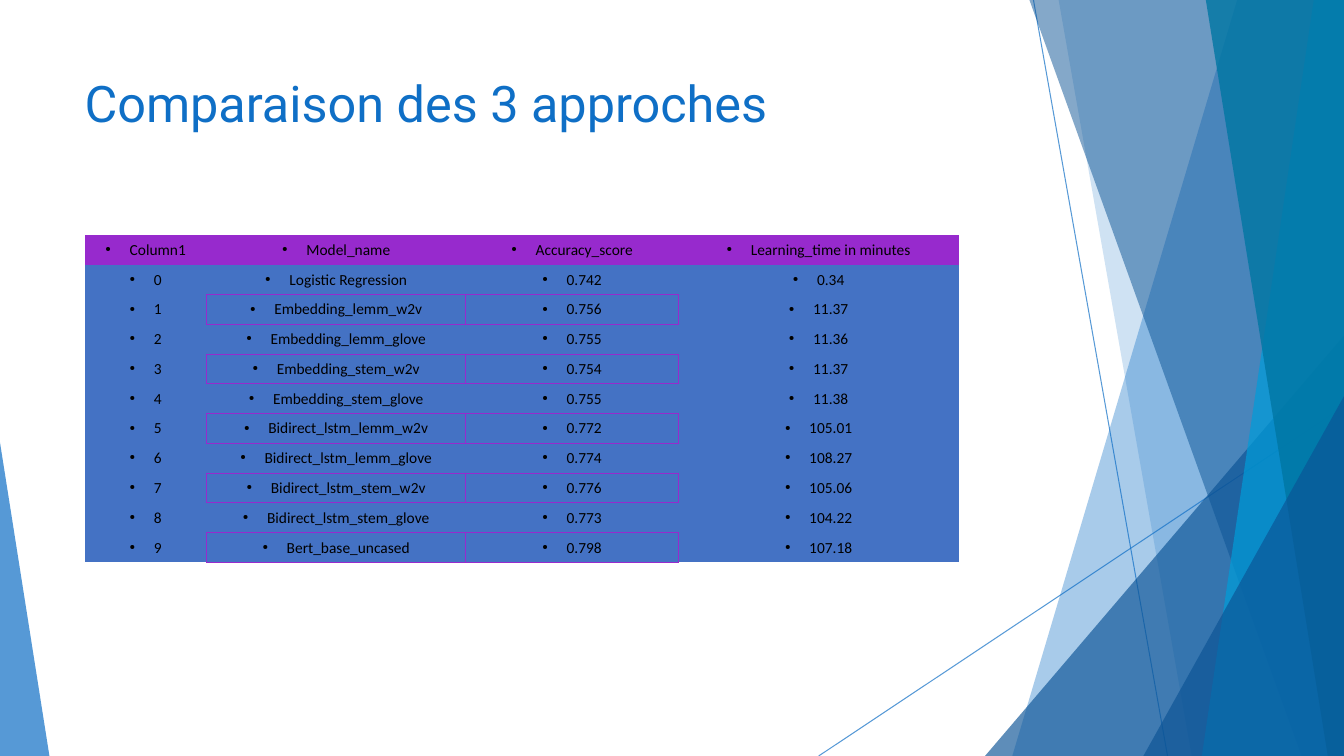
from lxml.etree import SubElement
from pptx import Presentation
from pptx.dml.color import RGBColor
from pptx.enum.shapes import MSO_CONNECTOR
from pptx.enum.text import MSO_ANCHOR, PP_ALIGN
from pptx.oxml import parse_xml
from pptx.oxml.ns import nsdecls, qn
from pptx.util import Inches, Pt

WIDTH, HEIGHT = 13.33, 7.5
BLUE, NAVY, PURPLE, ROW_BLUE, BLACK = "0F6FC6", "0B5395", "972ACD", "4472C4", "000000"

TITLE = "Comparaison des 3 approches"
HEADER = ("Column1", "Model_name", "Accuracy_score", "Learning_time in minutes")
MODELS = [
    ("Logistic Regression", "0.742", "0.34"),
    ("Embedding_lemm_w2v", "0.756", "11.37"),
    ("Embedding_lemm_glove", "0.755", "11.36"),
    ("Embedding_stem_w2v", "0.754", "11.37"),
    ("Embedding_stem_glove", "0.755", "11.38"),
    ("Bidirect_lstm_lemm_w2v", "0.772", "105.01"),
    ("Bidirect_lstm_lemm_glove", "0.774", "108.27"),
    ("Bidirect_lstm_stem_w2v", "0.776", "105.06"),
    ("Bidirect_lstm_stem_glove", "0.773", "104.22"),
    ("Bert_base_uncased", "0.798", "107.18"),
]
COLUMN_WIDTHS = (1.21, 2.57, 2.11, 2.78)
TABLE_LEFT, TABLE_TOP, TABLE_HEIGHT = 0.84, 2.33, 3.25
NO_STYLE = "{2D5ABB26-0587-4C30-8999-92F81FD0307C}"

RAYS = [((10.25, 0), (11.58, HEIGHT)), ((WIDTH, 4.03), (8.12, HEIGHT))]


def band(top_left, bottom_left):
    """Corners of a band that runs from its slanted left side to the slide's right edge."""
    return [(top_left, 0), (WIDTH, 0), (WIDTH, HEIGHT), (bottom_left, HEIGHT)]


def corner(left, top):
    """Corners of a triangle in the slide's bottom right corner."""
    return [(left, HEIGHT), (WIDTH, top), (WIDTH, HEIGHT)]


# corners, colour, opacity in percent
FACETS = [
    (band(12.27, 10.04), BLUE, 36),
    (band(10.5, 11.82), BLUE, 20),
    (corner(9.77, 3.33), NAVY, 66),
    (band(10.21, 12.91), NAVY, 50),
    (band(13.03, 11.92), "009DD9", 70),
    (band(11.96, 13.17), "0076A3", 80),
    (corner(11.34, 3.93), NAVY, 66),
    ([(0, HEIGHT), (0, 4.39), (0.49, HEIGHT)], BLUE, 70),
]


def paint(color_format, color):
    color_format.rgb = RGBColor.from_string(color)


def set_opacity(fill_parent, percent):
    color = next(fill_parent.iter(qn("a:srgbClr")))
    SubElement(color, qn("a:alpha"), val=str(percent * 1000))


def add_ray(slide, start, end):
    ray = slide.shapes.add_connector(
        MSO_CONNECTOR.STRAIGHT, *(Inches(value) for value in start + end))
    paint_line = ray.line
    paint_line.width = Pt(0.75)
    paint_line.fill.solid()
    paint(paint_line.color, BLUE)
    properties = ray._element.spPr
    set_opacity(properties, 70)
    SubElement(properties, qn("a:effectLst"))


def add_facet(slide, corners, color, opacity):
    points = [(Inches(x), Inches(y)) for x, y in corners]
    builder = slide.shapes.build_freeform(*points[0])
    builder.add_line_segments(points[1:], close=True)
    facet = builder.convert_to_shape()
    facet.shadow.inherit = False
    facet.line.fill.background()
    facet.fill.solid()
    paint(facet.fill.fore_color, color)
    set_opacity(facet._element.spPr, opacity)


def write(para, text, font, size, color):
    para.text = text
    for name, value in {"name": font, "size": Pt(size)}.items():
        setattr(para.runs[0].font, name, value)
    paint(para.runs[0].font.color, color)


def add_bullet(para):
    properties = para._p.get_or_add_pPr()
    properties.set("marL", str(Inches(0.24)))
    properties.set("indent", str(-Inches(0.24)))
    SubElement(SubElement(properties, qn("a:buClr")), qn("a:srgbClr"), val=BLACK)
    SubElement(properties, qn("a:buSzPct"), val="45000")
    SubElement(properties, qn("a:buChar"), char="●")


def add_borders(cell, sides):
    properties = cell._tc.get_or_add_tcPr()
    for position, side in enumerate(sides):
        properties.insert(position, parse_xml(
            f'<a:ln{side} {nsdecls("a")} w="{Pt(0.5)}"><a:solidFill>'
            f'<a:srgbClr val="{PURPLE}"/></a:solidFill></a:ln{side}>'))


def fill_cell(cell, text, color):
    margins = {"margin_left": 0.01, "margin_right": 0.01,
               "margin_top": 0.05, "margin_bottom": 0.05}
    for name, value in margins.items():
        setattr(cell, name, Inches(value))
    cell.vertical_anchor = MSO_ANCHOR.BOTTOM
    cell.fill.solid()
    paint(cell.fill.fore_color, color)
    para = cell.text_frame.paragraphs[0]
    para.alignment = PP_ALIGN.CENTER
    add_bullet(para)
    write(para, text, "Calibri", 11, BLACK)


def add_scores(slide):
    rows = [HEADER] + [(str(index), *model) for index, model in enumerate(MODELS)]
    frame = slide.shapes.add_table(
        len(rows), len(HEADER), Inches(TABLE_LEFT), Inches(TABLE_TOP),
        Inches(sum(COLUMN_WIDTHS)), Inches(TABLE_HEIGHT))
    table = frame.table
    table.first_row = table.horz_banding = False
    next(table._tbl.iter(qn("a:tableStyleId"))).text = NO_STYLE
    for column, width in zip(table.columns, COLUMN_WIDTHS):
        column.width = Inches(width)
    for r, values in enumerate(rows):
        table.rows[r].height = Inches(TABLE_HEIGHT / len(rows))
        for c, text in enumerate(values):
            cell = table.cell(r, c)
            fill_cell(cell, text, ROW_BLUE if r else PURPLE)
            if r and c in (1, 2):
                add_borders(cell, "TB" if r % 2 else "LRTB")


def main():
    deck = Presentation()
    deck.slide_width, deck.slide_height = Inches(WIDTH), Inches(HEIGHT)
    slide = deck.slides.add_slide(deck.slide_layouts[6])
    for start, end in RAYS:
        add_ray(slide, start, end)
    for corners, color, opacity in FACETS:
        add_facet(slide, corners, color, opacity)
    title = slide.shapes.add_textbox(Inches(0.74), Inches(0.67), Inches(9.4), Inches(1.44))
    title.text_frame.word_wrap = True
    write(title.text_frame.paragraphs[0], TITLE, "Roboto", 36, BLUE)
    add_scores(slide)
    deck.save("out.pptx")


if __name__ == "__main__":
    main()
